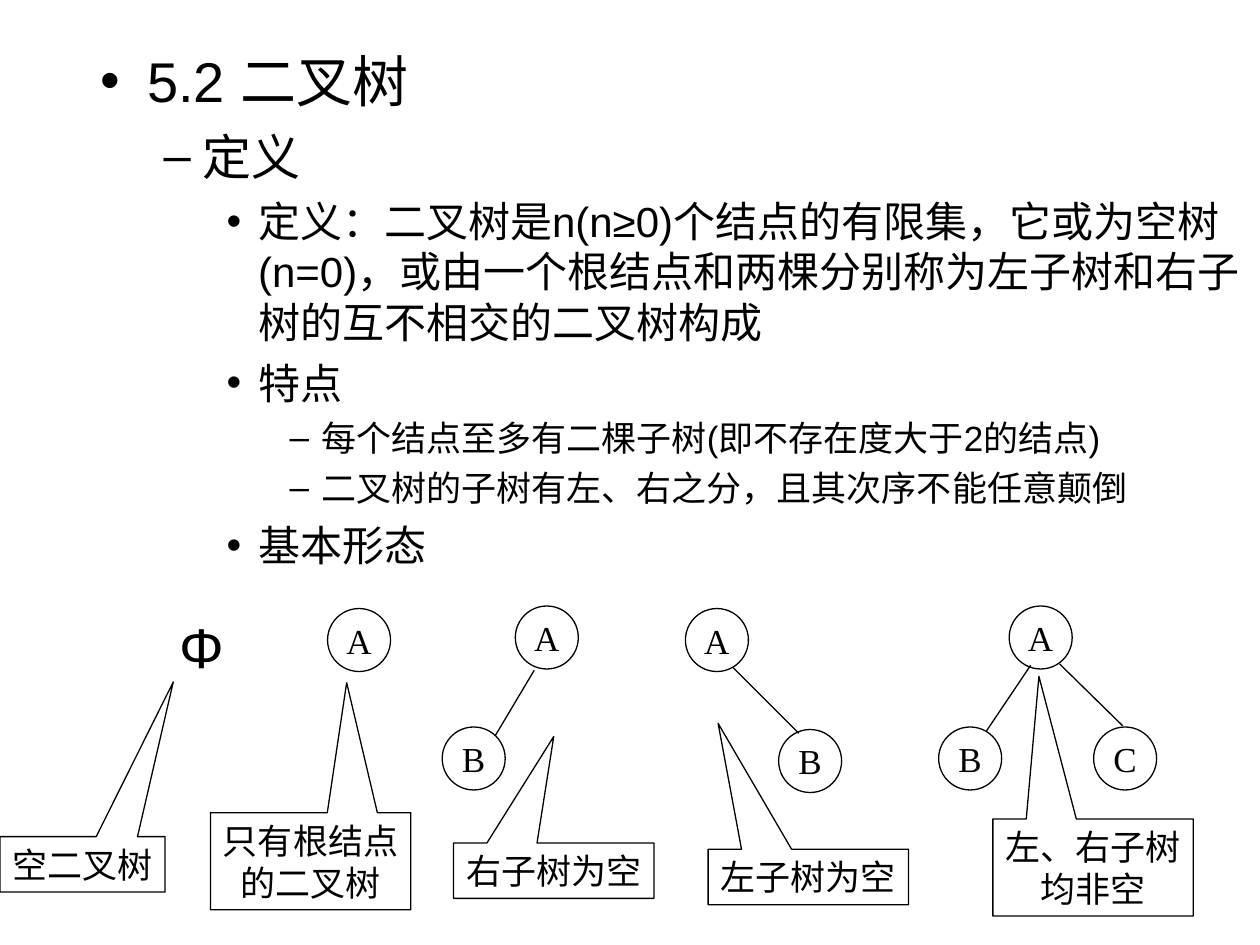
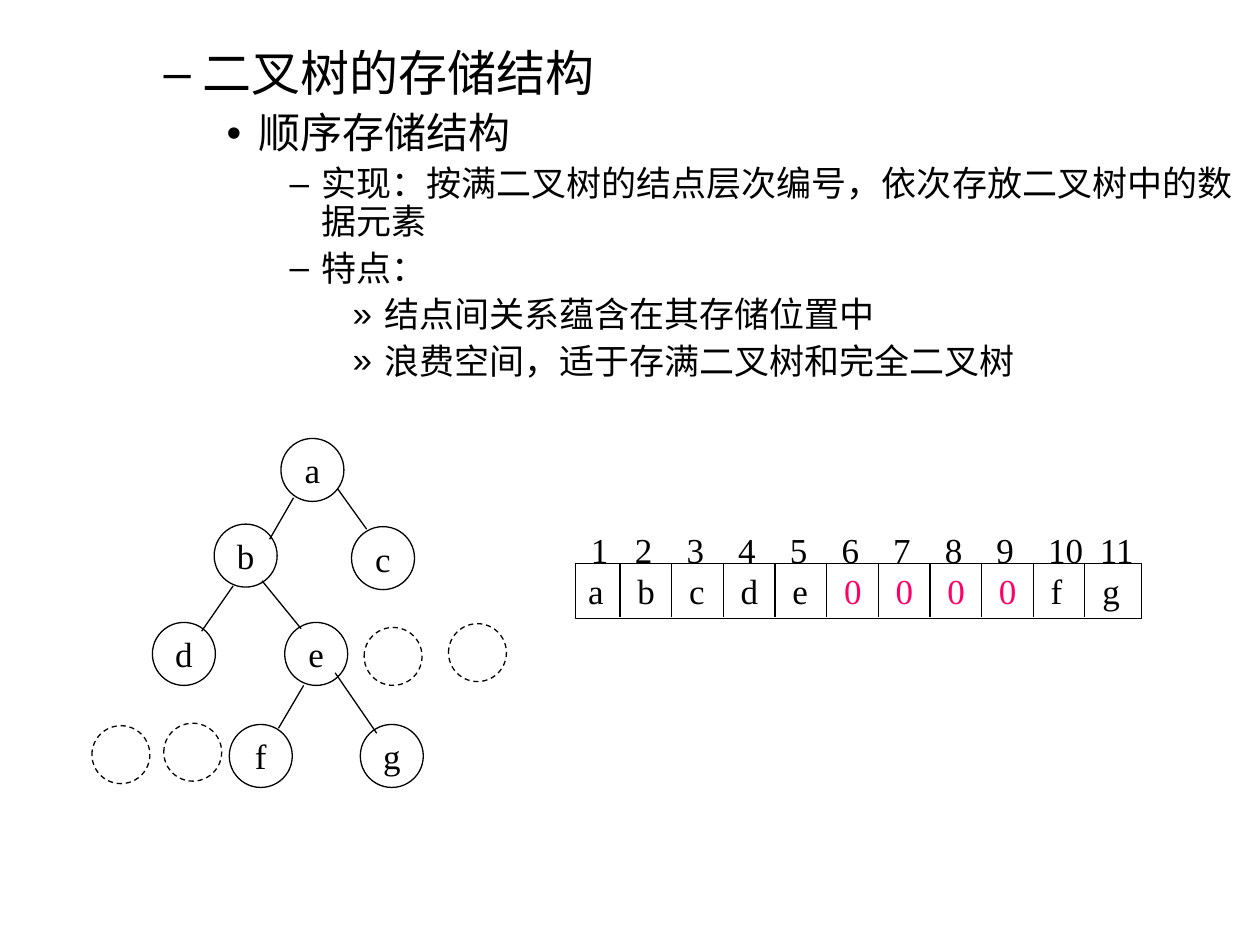
from lxml import etree
from pptx import Presentation
from pptx.dml.color import RGBColor
from pptx.enum import dml, shapes, text
from pptx.oxml import ns
from pptx.util import Inches, Pt

BLACK, PINK = "000000", "FF0066"
SANS, SERIF = "Arial", "Times New Roman"
NODE_SIZE, EMPTY_SIZE = 0.5, 0.46
CELL_WIDTH = 0.41
OVAL = shapes.MSO_SHAPE.OVAL
CALLOUT = shapes.MSO_SHAPE.RECTANGULAR_CALLOUT

# Outline level: bullet, text indent, hanging indent, size, space before
LEVELS = [
    ("•", 0.37, 0.37, 32, 8),
    ("–", 0.81, 0.31, 28, 7),
    ("•", 1.25, 0.25, 24, 6),
    ("–", 1.75, 0.25, 20, 5),
    ("»", 2.25, 0.25, 20, 5),
]

SLIDES = [
    {
        "outline_box": (0.7, 0.32, 9.3, 4.62),
        "line_spacing": 1.0,
        "outline": [
            (0, "5.2 二叉树"),
            (1, "定义"),
            (2, "定义：二叉树是n(n≥0)个结点的有限集，它或为空树(n=0)，"
                "或由一个根结点和两棵分别称为左子树和右子树的互不相交的二叉树构成"),
            (2, "特点"),
            (3, "每个结点至多有二棵子树(即不存在度大于2的结点)"),
            (3, "二叉树的子树有左、右之分，且其次序不能任意颠倒"),
            (2, "基本形态"),
        ],
        "nodes": [
            ("A", 2.6, 4.83),
            ("A", 4.09, 4.81), ("B", 3.51, 5.77),
            ("A", 5.44, 4.83), ("B", 6.18, 5.79),
            ("A", 8.01, 4.81), ("B", 7.45, 5.77), ("C", 8.68, 5.77),
        ],
        "empty_nodes": [],
        "edges": [
            (4.24, 5.32, 3.93, 5.84),
            (5.82, 5.3, 6.34, 5.82),
            (8.18, 5.28, 7.83, 5.8),
            (8.41, 5.27, 8.91, 5.76),
        ],
        # Text lines, box, pointer tip relative to the box
        "callouts": [
            (["空二叉树"], (0, 6.64, 1.31, 0.44), (0.55, -3.29)),
            (["只有根结点", "的二叉树"], (1.67, 6.45, 1.59, 0.77), (0.18, -1.84)),
            (["右子树为空"], (3.6, 6.69, 1.59, 0.44), (0, -2.42)),
            (["左子树为空"], (5.62, 6.74, 1.59, 0.44), (-0.45, -2.77)),
            (["左、右子树", "均非空"], (7.88, 6.5, 1.59, 0.77), (-0.27, -1.97)),
        ],
    },
    {
        "outline_box": (0.7, 0.34, 9.3, 2.96),
        "line_spacing": 0.9,
        "outline": [
            (1, "二叉树的存储结构"),
            (2, "顺序存储结构"),
            (3, "实现：按满二叉树的结点层次编号，依次存放二叉树中的数据元素"),
            (3, "特点："),
            (4, "结点间关系蕴含在其存储位置中"),
            (4, "浪费空间，适于存满二叉树和完全二叉树"),
        ],
        "nodes": [
            ("a", 2.23, 3.48), ("b", 1.7, 4.16), ("c", 2.79, 4.18),
            ("d", 1.21, 4.94), ("e", 2.26, 4.94),
            ("f", 1.82, 5.75), ("g", 2.86, 5.75),
        ],
        "empty_nodes": [(2.89, 4.98), (3.56, 4.95), (0.73, 5.76), (1.3, 5.74)],
        "edges": [
            (2.33, 3.95, 2.14, 4.28),
            (1.85, 4.65, 1.6, 5.01),
            (2.68, 3.88, 2.91, 4.2),
            (2.08, 4.61, 2.39, 4.99),
            (2.66, 5.34, 2.99, 5.82),
            (2.41, 5.44, 2.21, 5.78),
        ],
        "callouts": [],
    },
]


def add_outlined_shape(slide, kind, box, lines=()):
    """Add an unfilled black-outlined shape with centred lines of text."""
    shape = slide.shapes.add_shape(kind, *map(Inches, box))
    shape.shadow.inherit = False
    shape.fill.background()
    shape.line.color.rgb = RGBColor.from_string(BLACK)
    shape.line.width = Pt(0.75)
    frame = shape.text_frame
    frame.word_wrap = False
    frame.vertical_anchor = text.MSO_ANCHOR.MIDDLE
    for number, line in enumerate(lines):
        paragraph = frame.add_paragraph() if number else frame.paragraphs[0]
        paragraph.alignment = text.PP_ALIGN.CENTER
        add_run(paragraph, line)
    return shape


def add_run(paragraph, content, size=20, name=SERIF, color=BLACK):
    run = paragraph.add_run()
    run.text = content
    for attribute, value in {"size": Pt(size), "name": name}.items():
        setattr(run.font, attribute, value)
    run.font.color.rgb = RGBColor.from_string(color)


presentation = Presentation()
presentation.slide_width, presentation.slide_height = Inches(10), Inches(7.5)

# Array cells on the second slide: one narrow first cell, then equal ones
separators = [4.92 + CELL_WIDTH * number for number in range(10)]
SLIDES[1]["edges"] += [(x, 4.48, x, 4.9) for x in separators]

for content in SLIDES:
    slide = presentation.slides.add_slide(presentation.slide_layouts[6])

    outline = slide.shapes.add_textbox(*map(Inches, content["outline_box"]))
    frame = outline.text_frame
    frame.word_wrap = True
    for number, (level, line) in enumerate(content["outline"]):
        bullet, indent, hanging, size, space = LEVELS[level]
        paragraph = frame.add_paragraph() if number else frame.paragraphs[0]
        paragraph.level = level
        paragraph.line_spacing = content["line_spacing"]
        paragraph.space_before = Pt(space if number else 0)
        properties = paragraph._p.get_or_add_pPr()
        properties.set("marL", str(Inches(indent)))
        properties.set("indent", str(-Inches(hanging)))
        etree.SubElement(properties, ns.qn("a:buFont"), typeface=SANS)
        etree.SubElement(properties, ns.qn("a:buChar"), char=bullet)
        add_run(paragraph, line, size, SANS)

    for label, left, top in content["nodes"]:
        add_outlined_shape(slide, OVAL, (left, top, NODE_SIZE, NODE_SIZE), [label])

    for left, top in content["empty_nodes"]:
        node = add_outlined_shape(slide, OVAL, (left, top, EMPTY_SIZE, EMPTY_SIZE))
        node.line.dash_style = dml.MSO_LINE.DASH

    for edge in content["edges"]:
        connector = slide.shapes.add_connector(
            shapes.MSO_CONNECTOR.STRAIGHT, *map(Inches, edge))
        connector.line.color.rgb = RGBColor.from_string(BLACK)
        connector.line.width = Pt(0.75)
        etree.SubElement(connector._element.spPr, ns.qn("a:effectLst"))

    for lines, box, tip in content["callouts"]:
        callout = add_outlined_shape(slide, CALLOUT, box, lines)
        callout.adjustments[0], callout.adjustments[1] = tip

tree_slide, storage_slide = presentation.slides

# Symbol of the empty tree
empty_tree = tree_slide.shapes.add_textbox(*map(Inches, (1.33, 4.81, 0.54, 0.64)))
empty_tree.text_frame.word_wrap = False
empty_tree.text_frame.vertical_anchor = text.MSO_ANCHOR.MIDDLE
paragraph = empty_tree.text_frame.paragraphs[0]
paragraph.alignment = text.PP_ALIGN.CENTER
add_run(paragraph, "Φ", 32, SANS)

# Array of stored values with the position numbers above it
array = add_outlined_shape(
    storage_slide, shapes.MSO_SHAPE.RECTANGLE, (4.57, 4.47, 4.49, 0.44))
positions = storage_slide.shapes.add_textbox(
    *map(Inches, (4.59, 4.14, 4.51, 0.44)))
rows = [
    (array, "abcde0000fg", 0.39),
    (positions, [str(number) for number in range(1, 12)], 0.35),
]
for shape, values, first_tab in rows:
    frame = shape.text_frame
    frame.word_wrap = True
    frame.margin_right = 0
    frame.vertical_anchor = text.MSO_ANCHOR.MIDDLE
    paragraph = frame.paragraphs[0]
    paragraph.alignment = text.PP_ALIGN.LEFT
    tabs = etree.SubElement(paragraph._p.get_or_add_pPr(), ns.qn("a:tabLst"))
    for number in range(len(values) - 1):
        etree.SubElement(tabs, ns.qn("a:tab"), algn="l",
                         pos=str(Inches(first_tab + CELL_WIDTH * number)))
    for number, value in enumerate(values):
        add_run(paragraph, ("\t" if number else "") + value,
                color=PINK if value == "0" else BLACK)

presentation.save("out.pptx")
